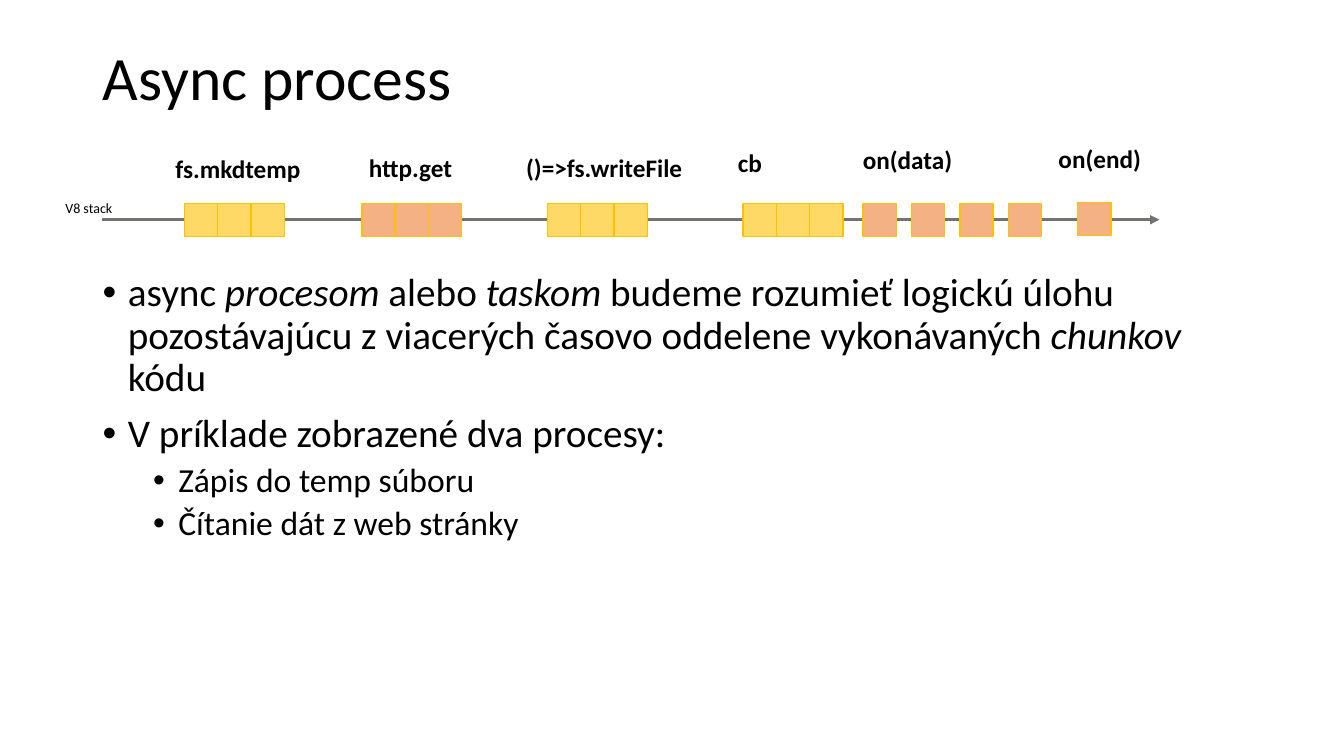
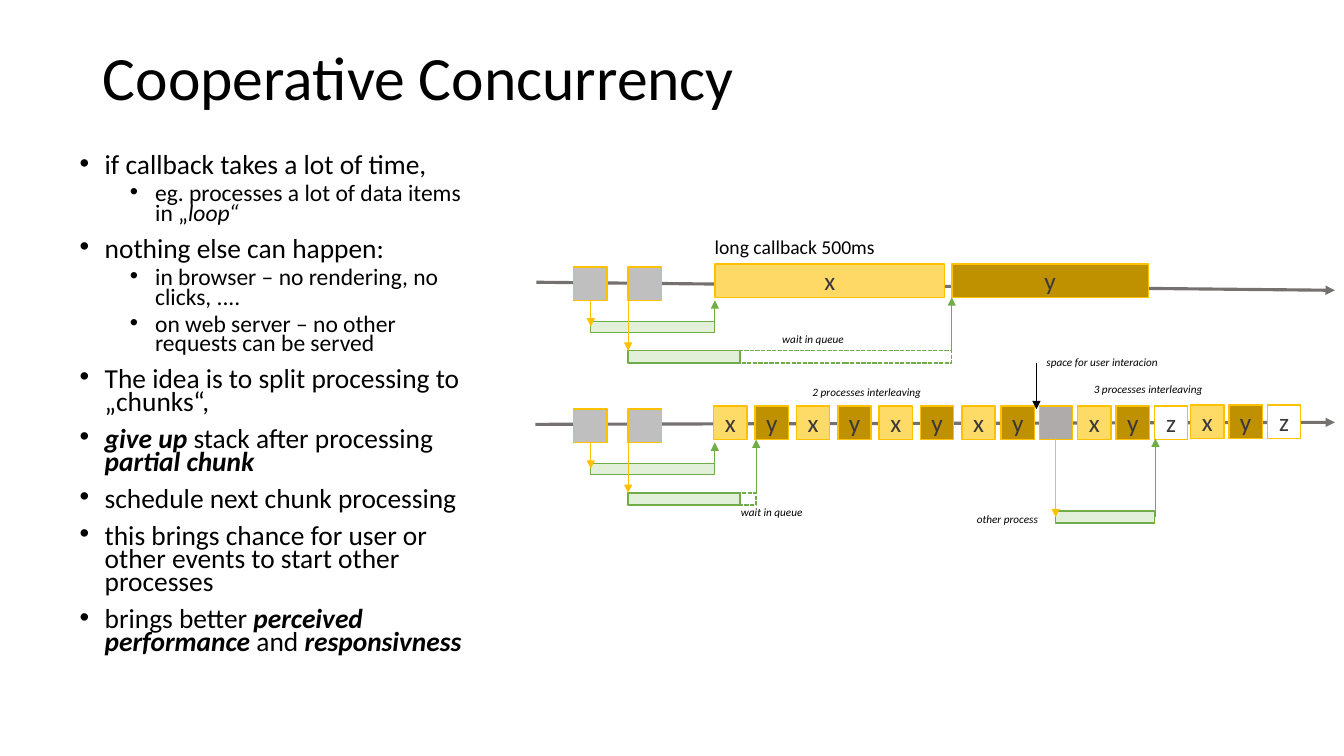
from lxml.etree import SubElement
from pptx import Presentation
from pptx.dml.color import RGBColor
from pptx.enum.dml import MSO_LINE
from pptx.enum.shapes import MSO_CONNECTOR, MSO_SHAPE
from pptx.enum.text import MSO_ANCHOR, MSO_AUTO_SIZE, PP_ALIGN
from pptx.oxml.ns import qn
from pptx.util import Inches, Pt

FONT = "Calibri"
BLACK, AXIS, DARK = "000000", "767171", "3B3838"
AMBER, GREEN, PALE_GREEN = "FFC000", "70AD47", "E2F0D9"
YELLOW, ORANGE, GRAY = "FFD966", "F4B183", "BFBFBF"
CHUNK_FILLS = {"x": "FEDA66", "y": "BF9000", "z": "FFFFFF", "": "AFABAB"}
SIDE = 0.33

ASYNC_TEXT = [
    (0, [("async ", ""), ("procesom ", "i"), ("alebo ", ""), ("taskom", "i"),
         (" budeme rozumieť logickú úlohu pozostávajúcu z viacerých časovo "
          "oddelene vykonávaných ", ""), ("chunkov", "i"), (" kódu", "")]),
    (0, [("V príklade zobrazené dva procesy:", "")]),
    (1, [("Zápis do temp súboru", "")]),
    (1, [("Čítanie dát z web stránky", "")]),
]
CONCURRENCY_TEXT = [
    (0, [("if callback takes a lot of time,", "")]),
    (1, [("eg. processes a lot of data items in „", ""), ("loop“", "i")]),
    (0, [("nothing else can happen:", "")]),
    (1, [("in browser – no rendering, no clicks, ....", "")]),
    (1, [("on web server – no other requests can be served", "")]),
    (0, [("The idea is to split processing to „chunks“,", "")]),
    (0, [("give up ", "bi"), ("stack after processing ", ""), ("partial chunk", "bi")]),
    (0, [("schedule next chunk processing", "")]),
    (0, [("this brings chance for user or other events to start other processes", "")]),
    (0, [("brings better ", ""), ("perceived performance", "bi"), (" and ", ""),
         ("responsivness", "bi")]),
]


def rgb(value):
    """Turn a hex string into a colour."""
    return RGBColor.from_string(value)


def add_run(p, text, size, style="", color=BLACK):
    """Append a run; style may hold b for bold and i for italic."""
    r = p.add_run()
    r.text = text
    r.font.name, r.font.size = FONT, Pt(size)
    r.font.bold, r.font.italic = "b" in style, "i" in style
    r.font.color.rgb = rgb(color)


def add_slide(prs, title):
    """Add a title-only slide with the shared title style."""
    s = prs.slides.add_slide(prs.slide_layouts[5])
    sp = s.shapes.title
    sp.left, sp.top, sp.width, sp.height = map(Inches, (0.92, 0.4, 11.5, 0.8))
    tf = sp.text_frame
    tf.vertical_anchor = MSO_ANCHOR.MIDDLE
    p = tf.paragraphs[0]
    p.alignment, p.line_spacing = PP_ALIGN.LEFT, 0.9
    add_run(p, title, 44)
    return s


def add_bullets(s, box, items, sizes, spacing):
    """Add a two-level bulleted list."""
    tf = s.shapes.add_textbox(*map(Inches, box)).text_frame
    tf.word_wrap = True
    for i, (level, runs) in enumerate(items):
        p = tf.add_paragraph() if i else tf.paragraphs[0]
        pPr = p._p.get_or_add_pPr()
        pPr.set("marL", str(Inches((0.25, 0.75)[level])))
        pPr.set("indent", str(Inches(-0.25)))
        SubElement(pPr, qn("a:buFont"), typeface="Arial")
        SubElement(pPr, qn("a:buChar"), char="•")
        p.level, p.line_spacing = level, spacing
        p.space_before = Pt((10, 5)[level] if i else 0)
        for text, style in runs:
            add_run(p, text, sizes[level], style)


def add_label(s, left, top, width, height, text, size, style=""):
    """Add a one-line label."""
    tf = s.shapes.add_textbox(*map(Inches, (left, top, width, height))).text_frame
    tf.word_wrap = False
    tf.auto_size = MSO_AUTO_SIZE.SHAPE_TO_FIT_TEXT
    add_run(tf.paragraphs[0], text, size, style)


def add_box(s, left, top, width, height, fill=None, line=AMBER, text=""):
    """Add a rectangle; without a fill it gets a dashed outline."""
    sp = s.shapes.add_shape(MSO_SHAPE.RECTANGLE, *map(Inches, (left, top, width, height)))
    sp.shadow.inherit = False
    sp.line.color.rgb, sp.line.width = rgb(line), Pt(1)
    if fill:
        sp.fill.solid()
        sp.fill.fore_color.rgb = rgb(fill)
    else:
        sp.fill.background()
        sp.line.dash_style = MSO_LINE.SQUARE_DOT
    if text:
        tf = sp.text_frame
        tf.margin_left = tf.margin_right = 0
        tf.vertical_anchor = MSO_ANCHOR.MIDDLE
        tf.paragraphs[0].alignment = PP_ALIGN.CENTER
        add_run(tf.paragraphs[0], text, 18, color=DARK)


def add_squares(s, left, top, step, fills):
    """Add a run of plain squares at equal steps."""
    for i, fill in enumerate(fills):
        add_box(s, left + i * step, top, SIDE, SIDE, fill)


def add_arrow(s, x1, y1, x2, y2, color, width):
    """Add a straight arrow."""
    c = s.shapes.add_connector(MSO_CONNECTOR.STRAIGHT, *map(Inches, (x1, y1, x2, y2)))
    c.line.color.rgb, c.line.width = rgb(color), Pt(width)
    SubElement(c.line._get_or_add_ln(), qn("a:tailEnd"), type="triangle")
    SubElement(c._element.spPr, qn("a:effectLst"))


def add_pending_calls(s, top, queue_end):
    """Add two starting squares, their async work and the wait in the queue."""
    bottom, first, second = top + SIDE, top + 0.54, top + 0.83
    add_squares(s, 5.69, top, 0.54, [GRAY, GRAY])
    add_box(s, 5.86, first, 1.23, 0.11, PALE_GREEN, GREEN)
    add_box(s, 7.34, second, queue_end - 7.34, 0.12, line=GREEN)
    add_box(s, 6.23, second, 1.11, 0.12, PALE_GREEN, GREEN)
    add_arrow(s, 5.86, bottom, 5.86, first + 0.05, AMBER, 0.5)
    add_arrow(s, 6.23, bottom, 6.23, second, AMBER, 0.5)
    add_arrow(s, 7.09, first + 0.05, 7.09, bottom, GREEN, 0.5)
    add_arrow(s, queue_end, second, queue_end, bottom - 0.03, GREEN, 0.5)


def async_process(prs):
    """Build the slide on async processes."""
    s = add_slide(prs, "Async process")
    add_bullets(s, (0.92, 2.66, 10.98, 3.83), ASYNC_TEXT, (28, 24), 0.9)
    add_arrow(s, 1.01, 2.18, 11.5, 2.18, AXIS, 2.25)
    add_label(s, 0.55, 1.93, 0.68, 0.27, "V8 stack", 10)
    for left, fill in ((1.83, YELLOW), (3.59, ORANGE), (5.43, YELLOW), (7.37, YELLOW)):
        add_squares(s, left, 2.02, SIDE, [fill] * 3)
    add_squares(s, 8.56, 2.02, 0.48, [ORANGE] * 4)
    add_squares(s, 10.69, 2.01, SIDE, [ORANGE])
    for left, top, width, text in (
        (1.64, 1.47, 1.45, "fs.mkdtemp"),
        (3.56, 1.46, 1.04, "http.get"),
        (5.12, 1.46, 1.76, "()=>fs.writeFile"),
        (7.22, 1.41, 0.44, "cb"),
        (8.46, 1.38, 1.1, "on(data)"),
        (10.4, 1.37, 1.03, "on(end)"),
    ):
        add_label(s, left, top, width, 0.4, text, 18, "b")


def cooperative_concurrency(prs):
    """Build the slide on cooperative concurrency."""
    s = add_slide(prs, "Cooperative Concurrency")
    add_bullets(s, (0.69, 1.5, 4.15, 5.69), CONCURRENCY_TEXT, (19.6, 16.8), 0.7)

    add_arrow(s, 5.32, 2.8, 13.24, 2.88, AXIS, 2.25)
    add_pending_calls(s, 2.65, 9.44)
    add_box(s, 7.09, 2.62, 2.28, SIDE, YELLOW, text="x")
    add_box(s, 9.44, 2.62, 1.95, SIDE, CHUNK_FILLS["y"], text="y")
    add_label(s, 6.99, 2.28, 1.8, 0.34, "long callback 500ms", 14)

    add_arrow(s, 5.31, 4.21, 13.24, 4.19, AXIS, 2.25)
    add_pending_calls(s, 4.06, 7.5)
    for left, top, step, names in (
        (7.08, 4.03, 0.41, "xyxyxyx"),
        (9.93, 4.03, 0.38, ["y", "", "x", "y", "z"]),
        (11.81, 4.02, 0.38, "xyz"),
    ):
        for i, name in enumerate(names):
            add_box(s, left + i * step, top, SIDE, SIDE, CHUNK_FILLS[name], text=name)

    add_box(s, 10.47, 5.07, 0.98, 0.12, PALE_GREEN, GREEN)
    add_arrow(s, 10.47, 4.35, 10.47, 5.13, AMBER, 0.5)
    add_arrow(s, 11.46, 5.13, 11.46, 4.35, GREEN, 0.5)
    add_arrow(s, 10.28, 3.6, 10.28, 4.06, BLACK, 1)
    for left, top, width, text in (
        (7.66, 3.25, 0.82, "wait in queue"),
        (7.25, 4.96, 0.82, "wait in queue"),
        (9.59, 5.03, 0.82, "other process"),
        (10.28, 3.48, 1.32, "space for user interacion"),
        (7.96, 3.77, 1.29, "2 processes interleaving"),
        (10.75, 3.74, 1.29, "3 processes interleaving"),
    ):
        add_label(s, left, top, width, 0.24, text, 8, "i")


def main():
    """Build and save the presentation."""
    prs = Presentation()
    prs.slide_width, prs.slide_height = Inches(13.33), Inches(7.5)
    async_process(prs)
    cooperative_concurrency(prs)
    prs.save("out.pptx")


if __name__ == "__main__":
    main()
